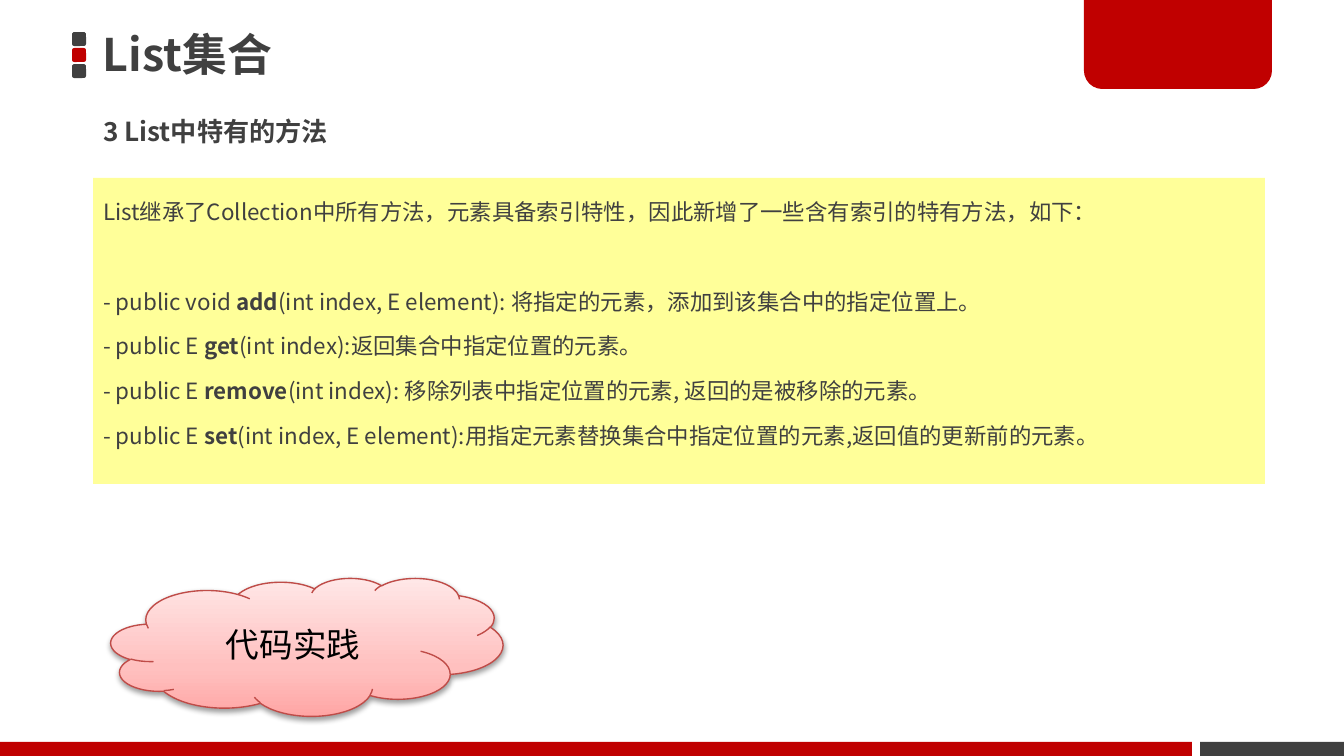
import pptx
import pptx.util
import pptx.dml.color
import pptx.enum.shapes
import pptx.enum.text
import pptx.oxml

PX = 9144000 / 1344
FONT = "Noto Sans CJK JP"
RED, GRAY = "C00000", "404040"
NS = 'xmlns:a="http://schemas.openxmlformats.org/drawingml/2006/main"'
MSO = pptx.enum.shapes.MSO_SHAPE
MIDDLE = pptx.enum.text.MSO_ANCHOR.MIDDLE
rgb = pptx.dml.color.RGBColor.from_string

prs = pptx.Presentation()
prs.slide_width, prs.slide_height = int(1344 * PX), int(756 * PX)
s = prs.slides.add_slide(prs.slide_layouts[6])


def shape(kind, x, y, w, h, fill=None):
    sp = s.shapes.add_shape(kind, *(int(v * PX) for v in (x, y, w, h)))
    sp.shadow.inherit = False
    sp.line.fill.background()
    if fill:
        sp.fill.solid()
        sp.fill.fore_color.rgb = rgb(fill)
    else:
        sp.fill.background()
    tf = sp.text_frame
    tf.word_wrap = True
    tf.margin_left = tf.margin_right = int(10 * PX)
    tf.margin_top = tf.margin_bottom = int(5 * PX)
    return sp


def style(p, size, color, bold=False, align=pptx.enum.text.PP_ALIGN.LEFT):
    p.alignment = align
    for r in p.runs:
        r.font.size = pptx.util.Pt(size)
        r.font.bold = bold
        r.font.name = FONT
        r.font.color.rgb = rgb(color)
        rPr = r.font._element
        rPr.append(pptx.oxml.parse_xml(f'<a:ea {NS} typeface="{FONT}"/>'))


# Header marks, corner tab and footer bars
for i, color in enumerate([GRAY, RED, GRAY]):
    shape(MSO.ROUNDED_RECTANGLE, 72, 32 + 16 * i, 14, 14, color)
tab = shape(MSO.ROUND_2_SAME_RECTANGLE, 1084, -3, 188, 92, RED)
tab.adjustments[0], tab.adjustments[1] = 0, 0.2
shape(MSO.RECTANGLE, 0, 742, 1192, 14, RED)
shape(MSO.RECTANGLE, 1200, 742, 144, 14, GRAY)

# Title and subtitle
for text, y, w, size in [("List集合", 26, 966, 24), ("3 List中特有的方法", 103, 548, 14)]:
    tf = shape(MSO.RECTANGLE, 93, y, w, 56).text_frame
    tf.vertical_anchor = MIDDLE
    tf.text = text
    style(tf.paragraphs[0], size, GRAY, bold=True)

# Method list: text before, method name in bold, text after
lines = [
    ("List继承了Collection中所有方法，元素具备索引特性，因此新增了一些含有索引的特有方法，如下：", "", ""),
    ("- public void ", "add", "(int index, E element): 将指定的元素，添加到该集合中的指定位置上。"),
    ("- public E ", "get", "(int index):返回集合中指定位置的元素。"),
    ("- public E ", "remove", "(int index): 移除列表中指定位置的元素, 返回的是被移除的元素。"),
    ("- public E ", "set", "(int index, E element):用指定元素替换集合中指定位置的元素,返回值的更新前的元素。"),
]
tf = shape(MSO.RECTANGLE, 93, 178, 1172, 306, "FFFF99").text_frame
tf.vertical_anchor = pptx.enum.text.MSO_ANCHOR.TOP
for i, (before, name, after) in enumerate(lines):
    p = tf.paragraphs[0] if i == 0 else tf.add_paragraph()
    p.line_spacing = pptx.util.Pt(22.5)
    p.space_before = pptx.util.Pt([0, 25.5, 1.5, 1.5, 1.5][i])
    p.text = before
    if name:
        p.add_run().text = name
        p.add_run().text = after
    style(p, 12, GRAY)
    if name:
        p.runs[1].font.bold = True

# Cloud with gradient and soft shadow
cloud = shape(MSO.CLOUD, 111, 578, 392, 138)
cloud.line.color.rgb = rgb("BF4C48")
cloud.line.width = pptx.util.Pt(0.75)
cloud.fill.gradient()
grad = cloud._element.spPr.find(pptx.oxml.ns.qn("a:gradFill"))
stops = "".join(f'<a:gs pos="{pos}000"><a:srgbClr val="{c}"/></a:gs>'
                for pos, c in [(0, "FFA6A5"), (35, "FFC0BF"), (100, "FFE7E7")])
grad.getparent().replace(grad, pptx.oxml.parse_xml(
    f'<a:gradFill {NS} rotWithShape="1"><a:gsLst>{stops}</a:gsLst>'
    '<a:lin ang="16200000" scaled="0"/></a:gradFill>'))
effects = cloud._element.spPr.find(pptx.oxml.ns.qn("a:effectLst"))
effects.append(pptx.oxml.parse_xml(
    f'<a:outerShdw {NS} blurRad="39400" dist="20300" dir="5400000" rotWithShape="0">'
    '<a:srgbClr val="000000"><a:alpha val="38000"/></a:srgbClr></a:outerShdw>'))
tf = cloud.text_frame
tf.vertical_anchor = MIDDLE
tf.text = "代码实践"
style(tf.paragraphs[0], 18, "000000", align=pptx.enum.text.PP_ALIGN.CENTER)

prs.save("out.pptx")
